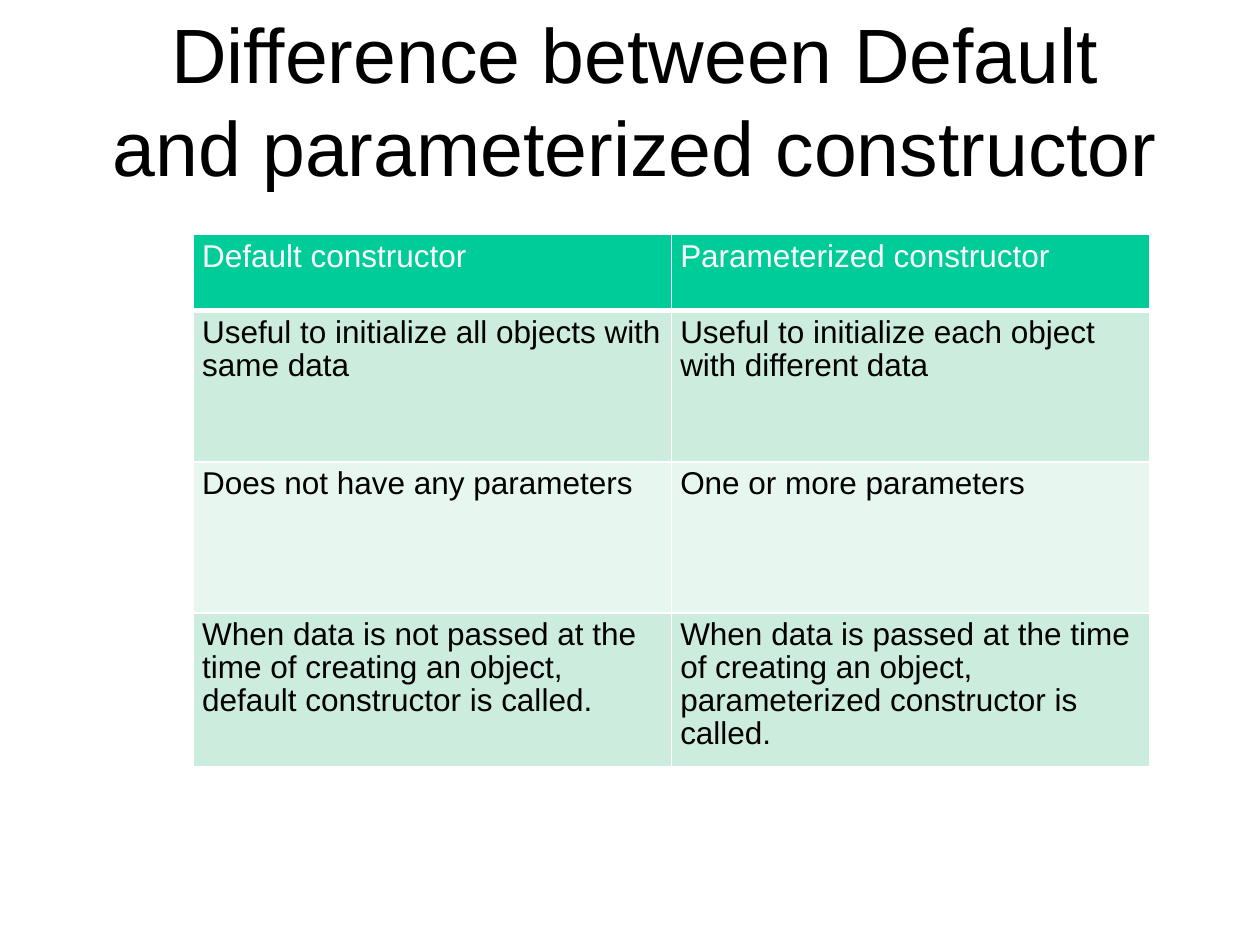
import pptx
import pptx.util
import pptx.dml.color
import pptx.enum.text
from lxml import etree
from pptx.oxml.ns import qn

Pt = pptx.util.Pt
RGB = pptx.dml.color.RGBColor
ALIGN = pptx.enum.text.PP_ALIGN
ANCHOR = pptx.enum.text.MSO_ANCHOR

BLACK = RGB(0, 0, 0)
WHITE = RGB(255, 255, 255)
GREEN = RGB(0, 0xCC, 0x99)
MINT = RGB(0xCC, 0xEC, 0xDE)
PALE = RGB(0xE7, 0xF6, 0xEF)

TITLE = "Difference between Default and parameterized constructor"
ROWS = [
    ("Default constructor", "Parameterized constructor"),
    ("Useful to initialize all objects with same data",
     "Useful to initialize each object with different data"),
    ("Does not have any parameters", "One or more parameters"),
    ("When data is not passed at the time of creating an object, "
     "default constructor is called.",
     "When data is passed at the time of creating an object, "
     "parameterized constructor is called."),
]


class Deck:
    font = "Arial"

    def __init__(self, wide, high):
        self.show = pptx.Presentation()
        self.show.slide_width = Pt(wide)
        self.show.slide_height = Pt(high)
        self.slide = self.show.slides.add_slide(self.show.slide_layouts[6])

    def text(self, para, words, size, color):
        run = para.add_run()
        run.text = words
        run.font.name = self.font
        run.font.size = Pt(size)
        run.font.color.rgb = color

    def title(self, words, left, top, width, height):
        box = self.slide.shapes.add_textbox(
            Pt(left), Pt(top), Pt(width), Pt(height))
        frame = box.text_frame
        frame.word_wrap = True
        frame.vertical_anchor = ANCHOR.MIDDLE
        para = frame.paragraphs[0]
        para.alignment = ALIGN.CENTER
        self.text(para, words, 44, BLACK)

    def edge(self, cell, base):
        """Draw white cell borders; base is the bottom width in points."""
        props = cell._tc.get_or_add_tcPr()
        for spot, (side, width) in enumerate(
                [("L", 1), ("R", 1), ("T", 1), ("B", base)]):
            line = etree.Element(qn("a:ln" + side), w=str(Pt(width)))
            fill = etree.SubElement(line, qn("a:solidFill"))
            etree.SubElement(fill, qn("a:srgbClr"), val=str(WHITE))
            props.insert(spot, line)

    def table(self, rows, left, top, width, highs):
        count = len(rows[0])
        grid = self.slide.shapes.add_table(
            len(rows), count, Pt(left), Pt(top),
            Pt(width), Pt(sum(highs))).table
        for col in grid.columns:
            col.width = Pt(width / count)
        for i, (texts, high) in enumerate(zip(rows, highs)):
            grid.rows[i].height = Pt(high)
            head = i == 0
            shade = GREEN if head else MINT if i % 2 else PALE
            for j, words in enumerate(texts):
                cell = grid.cell(i, j)
                cell.margin_left = cell.margin_right = Pt(5)
                cell.margin_top = cell.margin_bottom = Pt(3.6)
                cell.fill.solid()
                cell.fill.fore_color.rgb = shade
                para = cell.text_frame.paragraphs[0]
                para.line_spacing = 0.93
                self.text(para, words, 18, WHITE if head else BLACK)
                self.edge(cell, 3 if head else 1)

    def save(self):
        self.show.save("out.pptx")


def main():
    deck = Deck(720, 540)
    deck.title(TITLE, 57, 20, 612, 73.5)
    deck.table(ROWS, 110.5, 134, 546.5, [43.6, 86.4, 86.4, 86.4])
    deck.save()


if __name__ == "__main__":
    main()
